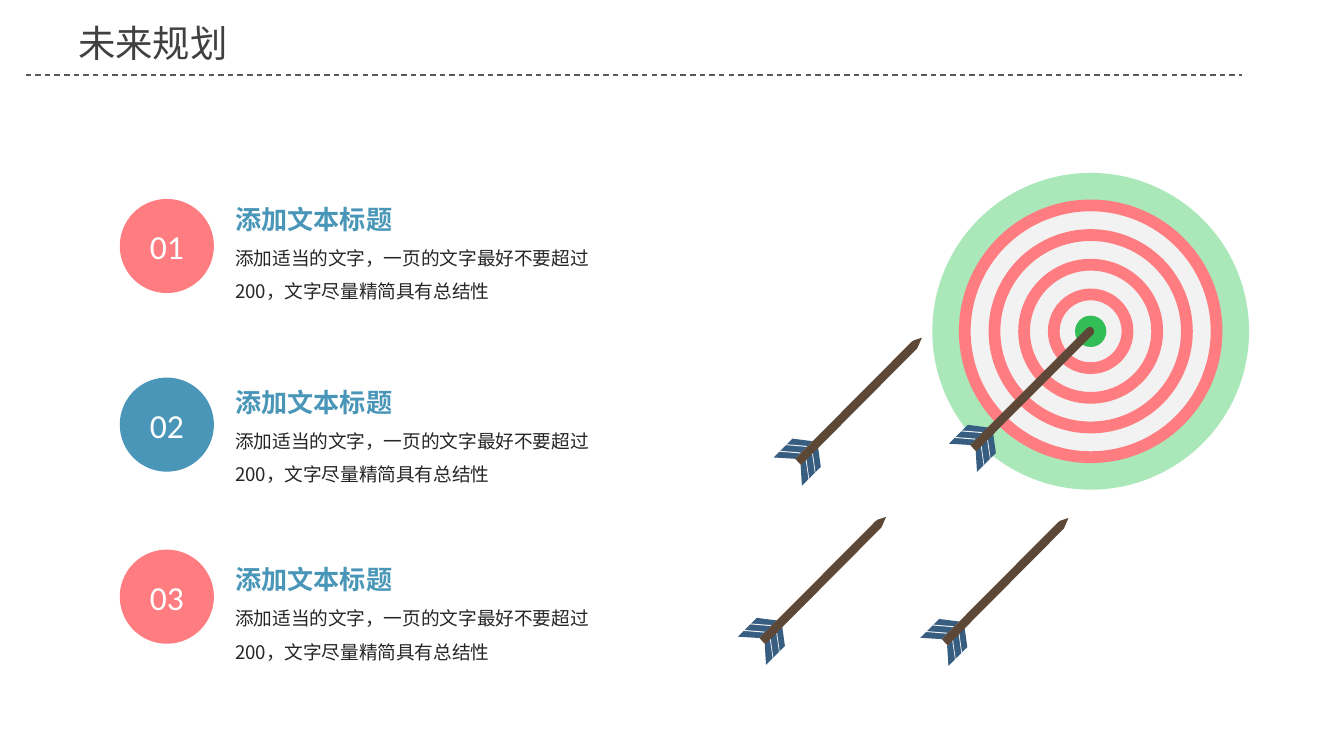
"""Build the future-plans slide with three numbered points, a target and arrows."""
from lxml import etree
from pptx import Presentation
from pptx import util as u
from pptx.dml import color as dml
from pptx.enum import dml as line_styles, shapes, text
from pptx.oxml import ns

Pt = u.Pt
CJK = "Noto Sans CJK SC"


def paint(fill, colour):
    fill.solid()
    fill.fore_color.rgb = dml.RGBColor.from_string(colour)


def write(holder, wording, *, size, colour, font=CJK, bold=False, spacing=1.0,
          align=text.PP_ALIGN.LEFT, anchor=text.MSO_ANCHOR.TOP, wrap=True, insets=(5, 3)):
    frame = holder.text_frame
    frame.word_wrap = wrap
    frame.auto_size = text.MSO_AUTO_SIZE.NONE
    frame.vertical_anchor = anchor
    frame.margin_left = frame.margin_right = Pt(insets[0])
    frame.margin_top = frame.margin_bottom = Pt(insets[1])
    paragraph = frame.paragraphs[0]
    paragraph.alignment = align
    paragraph.line_spacing = spacing
    run = paragraph.add_run()
    run.text = wording
    run.font.name, run.font.size, run.font.bold = font, Pt(size), bold
    paint(run.font.fill, colour)
    properties = run.font._element
    etree.SubElement(properties, ns.qn("a:ea"), typeface=font)
    return properties


deck = Presentation()
deck.slide_width, deck.slide_height = Pt(720), Pt(405)
slide = deck.slides.add_slide(deck.slide_layouts[5])
drawn = []

rule = slide.shapes.add_connector(
    shapes.MSO_CONNECTOR.STRAIGHT, Pt(13.7), Pt(40.3), Pt(665.3), Pt(40.3))
paint(rule.line.fill, "595959")
rule.line.width = Pt(0.75)
rule.line.dash_style = line_styles.MSO_LINE.DASH
etree.SubElement(rule._element.spPr, ns.qn("a:effectLst"))

heading = slide.shapes.title
heading.left, heading.top, heading.width, heading.height = Pt(34.6), Pt(7.2), Pt(255), Pt(31.7)
heading_format = write(heading, "未来规划", size=20, colour="404040", insets=(7.2, 3.6))
effects = etree.Element(ns.qn("a:effectLst"))
shadow = etree.SubElement(effects, ns.qn("a:outerShdw"), blurRad="38100", dist="38100",
                          dir="2700000", algn="tl")
shadow_colour = etree.SubElement(shadow, ns.qn("a:srgbClr"), val="000000")
etree.SubElement(shadow_colour, ns.qn("a:alpha"), val="43000")
heading_format.find(ns.qn("a:solidFill")).addnext(effects)

points = [("01", "FF7C80", 106.6, 105.8), ("02", "4996B8", 202.3, 203.8),
          ("03", "FF7C80", 294.5, 298.8)]
for number, colour, badge_top, caption_top in points:
    detail = slide.shapes.add_textbox(Pt(121), Pt(caption_top + 17.3), Pt(217.4), Pt(39.6))
    write(detail, "添加适当的文字，一页的文字最好不要超过200，文字尽量精简具有总结性",
          size=10, colour="262626", spacing=1.5)
    caption = slide.shapes.add_textbox(Pt(121), Pt(caption_top), Pt(95.8), Pt(22.3))
    write(caption, "添加文本标题", size=14, colour="4996B8", bold=True, wrap=False)
    badge = slide.shapes.add_shape(
        shapes.MSO_SHAPE.OVAL, Pt(64.2), Pt(badge_top), Pt(50.4), Pt(50.4))
    paint(badge.fill, colour)
    write(badge, number, size=18, colour="FFFFFF", font="Calibri",
          align=text.PP_ALIGN.CENTER, anchor=text.MSO_ANCHOR.MIDDLE)
    drawn.append(badge)

centre_x, centre_y = 584.3, 177.5
discs = [(169.7, "AAE8BA", None), (134.6, "F2F2F2", None)]
discs += [(141.2 - 31.8 * ring, "FF7C80", 6.3) for ring in range(4)]
discs += [(16.8, "33BD56", None)]
for diameter, colour, band in discs:
    disc = slide.shapes.add_shape(
        shapes.MSO_SHAPE.DONUT if band else shapes.MSO_SHAPE.OVAL,
        Pt(centre_x - diameter / 2), Pt(centre_y - diameter / 2), Pt(diameter), Pt(diameter))
    if band:
        disc.adjustments[0] = band / diameter
    paint(disc.fill, colour)
    drawn.append(disc)

lower_stripe = [(9.4, -3.4), (10.9, 7.5), (10.6, 8), (9, -3)]
upper_stripe = [(-8.1, -4.3), (2.9, -3.4), (2.5, -2.9), (-8.5, -3.8)]
feathers = [
    ("375D81", [(12.2, -6.5), (13.7, 4.3), (3.6, 14.4), (2.9, 3.6)]),
    ("375D81", [(9.4, -9.4), (-1.4, -10.8), (-11.5, -0.7), (0, 0)]),
    ("F2F2F2", lower_stripe),
    ("F2F2F2", [(x - 3.4, y + 3.4) for x, y in lower_stripe]),
    ("F2F2F2", upper_stripe),
    ("F2F2F2", [(x + 3.5, y - 3.5) for x, y in upper_stripe]),
]
sharp_tip = [(62.3, -62.6), (63.5, -63.4), (67.9, -64.9), (65.8, -60), (65.4, -59.2)]
blunt_tip = [(62.6, -62.6), (64.1, -63.4), (65.6, -62.8), (66.4, -61.2), (66.2, -59.8), (65.5, -59)]
arrows = [(406.8, 341.8, sharp_tip), (426, 245.8, sharp_tip),
          (504.5, 342.4, sharp_tip), (519.8, 238.4, blunt_tip)]
for tail_x, tail_y, tip in arrows:
    arrow = slide.shapes.add_group_shape()
    shaft = [(0, 0), *tip, (3.2, 3.4)]
    for colour, outline in [*feathers, ("5D4837", shaft)]:
        corners = [(Pt(tail_x + x), Pt(tail_y + y)) for x, y in outline]
        builder = arrow.shapes.build_freeform(*corners[0])
        builder.add_line_segments(corners[1:], close=True)
        part = builder.convert_to_shape()
        paint(part.fill, colour)
        drawn.append(part)

for part in drawn:
    part.line.fill.background()
    part.shadow.inherit = False

deck.save("out.pptx")
